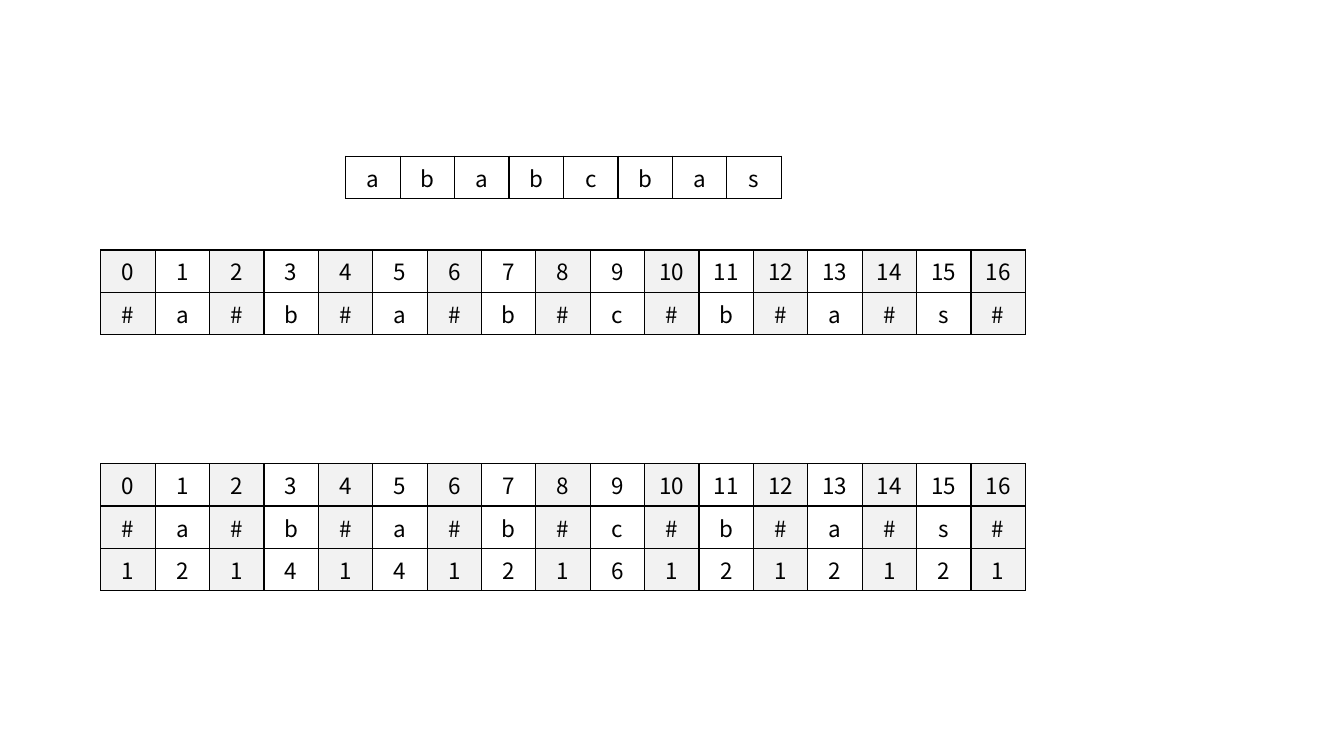
"""Builds the slide showing a string padded with separators and its palindrome radii."""
from lxml import etree
from pptx import Presentation
from pptx import util as u
from pptx.dml.color import RGBColor
from pptx.enum import text
from pptx.oxml.ns import qn

COLORS = {"ink": "000000", "letter": "FFFFFF", "separator": "F2F2F2"}
FONT = "Noto Sans CJK SC"
WORD = "ababcbas"
RADII = "12141412161212121"


def add_borders(cell):
    """Draws a one-point line on every side of a cell."""
    properties = cell._tc.get_or_add_tcPr()
    for side in ("lnL", "lnR", "lnT", "lnB"):
        line = etree.SubElement(properties, qn(f"a:{side}"), w=str(u.Pt(1)))
        fill = etree.SubElement(line, qn("a:solidFill"))
        etree.SubElement(fill, qn("a:srgbClr"), val=COLORS["ink"])


def style_cell(cell, label, color):
    """Fills one cell with a centred label."""
    add_borders(cell)
    cell.fill.solid()
    cell.fill.fore_color.rgb = RGBColor.from_string(COLORS[color])
    cell.vertical_anchor = text.MSO_ANCHOR.MIDDLE
    para = cell.text_frame.paragraphs[0]
    para.text = label
    para.alignment = text.PP_ALIGN.CENTER
    font = para.runs[0].font
    font.size = u.Pt(16)
    font.name = FONT
    font.color.rgb = RGBColor.from_string(COLORS["ink"])


def add_grid(page, box, rows, column_colors):
    """Places an even grid in a box, cycling the column colours."""
    left, top, width, height = map(u.Inches, box)
    count = len(rows[0])
    table = page.shapes.add_table(len(rows), count, left, top, width, height).table
    table.first_row = table.horz_banding = False
    for column in table.columns:
        column.width = width // count
    for r, labels in enumerate(rows):
        table.rows[r].height = height // len(rows)
        for c, label in enumerate(labels):
            style_cell(table.cell(r, c), label, column_colors[c % len(column_colors)])


def main():
    """Builds and saves the deck."""
    deck = Presentation()
    deck.slide_width, deck.slide_height = u.Inches(13.33), u.Inches(7.5)
    page = deck.slides.add_slide(deck.slide_layouts[6])

    padded = "#" + "".join(f"{letter}#" for letter in WORD)
    indexes = [str(i) for i in range(len(padded))]
    stripes = ("separator", "letter")
    add_grid(page, (1, 2.48, 9.17, 0.81), [indexes, padded], stripes)
    add_grid(page, (3.43, 1.55, 4.32, 0.41), [WORD], ("letter",))
    add_grid(page, (1, 4.6, 9.17, 1.22), [indexes, padded, RADII], stripes)
    deck.save("out.pptx")


main()
